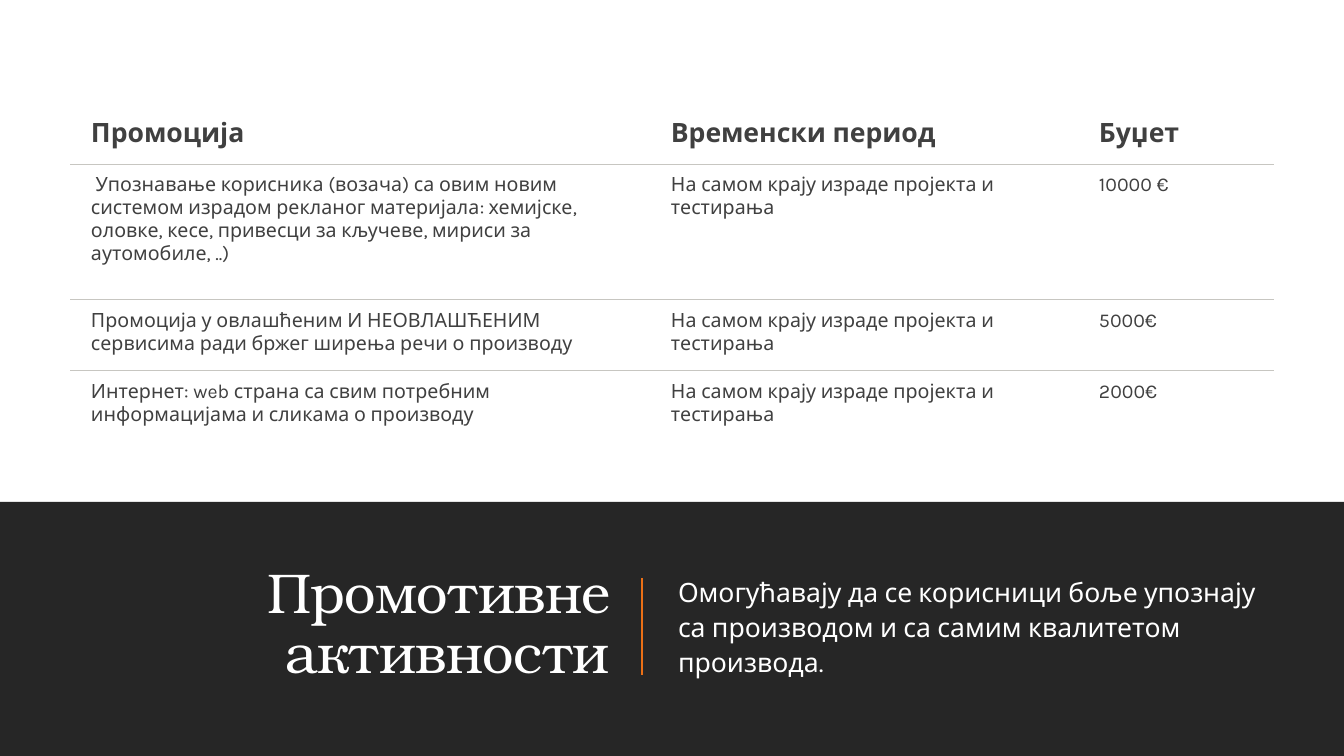
"""Build the slide on promotional activities, their timing and budget."""
import pptx
import pptx.dml.color
import pptx.enum.shapes
import pptx.enum.text
import pptx.oxml
import pptx.oxml.ns
import pptx.util

TITLE = "Промотивне активности"
SUMMARY = (
    "Омогућавају да се корисници боље упознају са производом "
    "и са самим квалитетом производа."
)
PERIOD = "На самом крају израде пројекта и тестирања"
ROWS = [
    ("Промоција", "Временски период", "Буџет"),
    (
        " Упознавање корисника (возача) са овим новим системом израдом рекланог "
        "материјала: хемијске, оловке, кесе, привесци за кључеве, мириси за "
        "аутомобиле, ..)",
        PERIOD,
        "10000 €",
    ),
    (
        "Промоција у овлашћеним И НЕОВЛАШЋЕНИМ сервисима ради бржег ширења "
        "речи о производу",
        PERIOD,
        "5000€",
    ),
    (
        "Интернет: web страна са свим потребним информацијама и сликама о производу",
        PERIOD,
        "2000€",
    ),
]
COLUMN_WIDTHS = [580, 428, 196]
ROW_HEIGHTS = [56, 136, 71, 72]
COLORS = {
    "white": "FFFFFF",
    "band": "262626",
    "accent": "EC7016",
    "text": "404040",
    "rule": "C7C6C1",
}
BODY_FONT = "Karla"
TITLE_FONT = "TeX Gyre Bonum"
WIDTH, HEIGHT = 1344, 756
BAND_TOP = 502
EMU_PER_PX = 914400 / 100.8


def px(length):
    return pptx.util.Emu(round(length * EMU_PER_PX))


def rgb(name):
    return pptx.dml.color.RGBColor.from_string(COLORS[name])


def add_run(paragraph, text, size, color, font=BODY_FONT, bold=False):
    run = paragraph.add_run()
    run.text = text
    run.font.name = font
    run.font.size = pptx.util.Pt(size)
    run.font.bold = bold
    run.font.color.rgb = rgb(color)
    return run


def place(shape, left, top, width, height):
    shape.left, shape.top = px(left), px(top)
    shape.width, shape.height = px(width), px(height)
    frame = shape.text_frame
    frame.word_wrap = True
    frame.auto_size = pptx.enum.text.MSO_AUTO_SIZE.NONE
    frame.vertical_anchor = pptx.enum.text.MSO_ANCHOR.MIDDLE
    return frame


def set_borders(cell, ruled_sides):
    properties = cell._tc.get_or_add_tcPr()
    namespace = pptx.oxml.ns.nsdecls("a")
    for index, side in enumerate("LRTB"):
        if side in ruled_sides:
            fill = f'<a:solidFill><a:srgbClr val="{COLORS["rule"]}"/></a:solidFill>'
        else:
            fill = "<a:noFill/>"
        border = f'<a:ln{side} {namespace} w="9525">{fill}</a:ln{side}>'
        properties.insert(index, pptx.oxml.parse_xml(border))


def add_band(slide):
    band = slide.shapes.add_shape(
        pptx.enum.shapes.MSO_SHAPE.RECTANGLE,
        px(0), px(BAND_TOP), px(WIDTH), px(HEIGHT - BAND_TOP),
    )
    band.shadow.inherit = False
    band.fill.solid()
    band.fill.fore_color.rgb = rgb("band")
    band.line.fill.background()
    slide.shapes._spTree.insert(2, band._element)


def add_title(slide):
    frame = place(slide.shapes.title, 70, 540, 550, 171)
    paragraph = frame.paragraphs[0]
    paragraph.alignment = pptx.enum.text.PP_ALIGN.RIGHT
    paragraph.line_spacing = 0.9
    run = add_run(paragraph, TITLE, 40, "white", TITLE_FONT)
    run._r.get_or_add_rPr().set("spc", "-50")


def add_divider(slide):
    divider = slide.shapes.add_connector(
        pptx.enum.shapes.MSO_CONNECTOR.STRAIGHT, px(642), px(578), px(642), px(675)
    )
    divider.line.color.rgb = rgb("accent")
    divider.line.width = pptx.util.Pt(1.5)
    effects = f'<a:effectLst {pptx.oxml.ns.nsdecls("a")}/>'
    divider._element.spPr.append(pptx.oxml.parse_xml(effects))


def add_summary(slide):
    frame = place(slide.placeholders[1], 668, 540, 606, 171)
    frame.margin_left = frame.margin_right = 0
    paragraph = frame.paragraphs[0]
    properties = paragraph._p.get_or_add_pPr()
    properties.set("marL", str(px(10)))
    properties.set("indent", "0")
    no_bullet = f'<a:buNone {pptx.oxml.ns.nsdecls("a")}/>'
    properties.append(pptx.oxml.parse_xml(no_bullet))
    paragraph.line_spacing = 1.1
    paragraph.space_before = pptx.util.Pt(0)
    paragraph.space_after = pptx.util.Pt(2)
    add_run(paragraph, SUMMARY, 19, "white")


def add_budget_table(slide):
    table = slide.shapes.add_table(
        len(ROWS), len(COLUMN_WIDTHS),
        px(70), px(108), px(sum(COLUMN_WIDTHS)), px(sum(ROW_HEIGHTS)),
    ).table
    table.first_row = table.horz_banding = False
    for column, width in zip(table.columns, COLUMN_WIDTHS):
        column.width = px(width)
    for row, height in zip(table.rows, ROW_HEIGHTS):
        row.height = px(height)
    last = len(ROWS) - 1
    for row_index, texts in enumerate(ROWS):
        header = row_index == 0
        sides = ("" if header else "T") + ("" if row_index == last else "B")
        for column_index, text in enumerate(texts):
            cell = table.cell(row_index, column_index)
            cell.margin_left, cell.margin_right = px(21), px(16)
            cell.margin_top = cell.margin_bottom = px(10)
            cell.fill.background()
            set_borders(cell, sides)
            paragraph = cell.text_frame.paragraphs[0]
            add_run(paragraph, text, 19 if header else 14, "text", bold=header)


def main():
    presentation = pptx.Presentation()
    presentation.slide_width, presentation.slide_height = px(WIDTH), px(HEIGHT)
    slide = presentation.slides.add_slide(presentation.slide_layouts[1])
    slide.background.fill.solid()
    slide.background.fill.fore_color.rgb = rgb("white")
    add_band(slide)
    add_title(slide)
    add_divider(slide)
    add_summary(slide)
    add_budget_table(slide)
    presentation.save("out.pptx")


if __name__ == "__main__":
    main()
